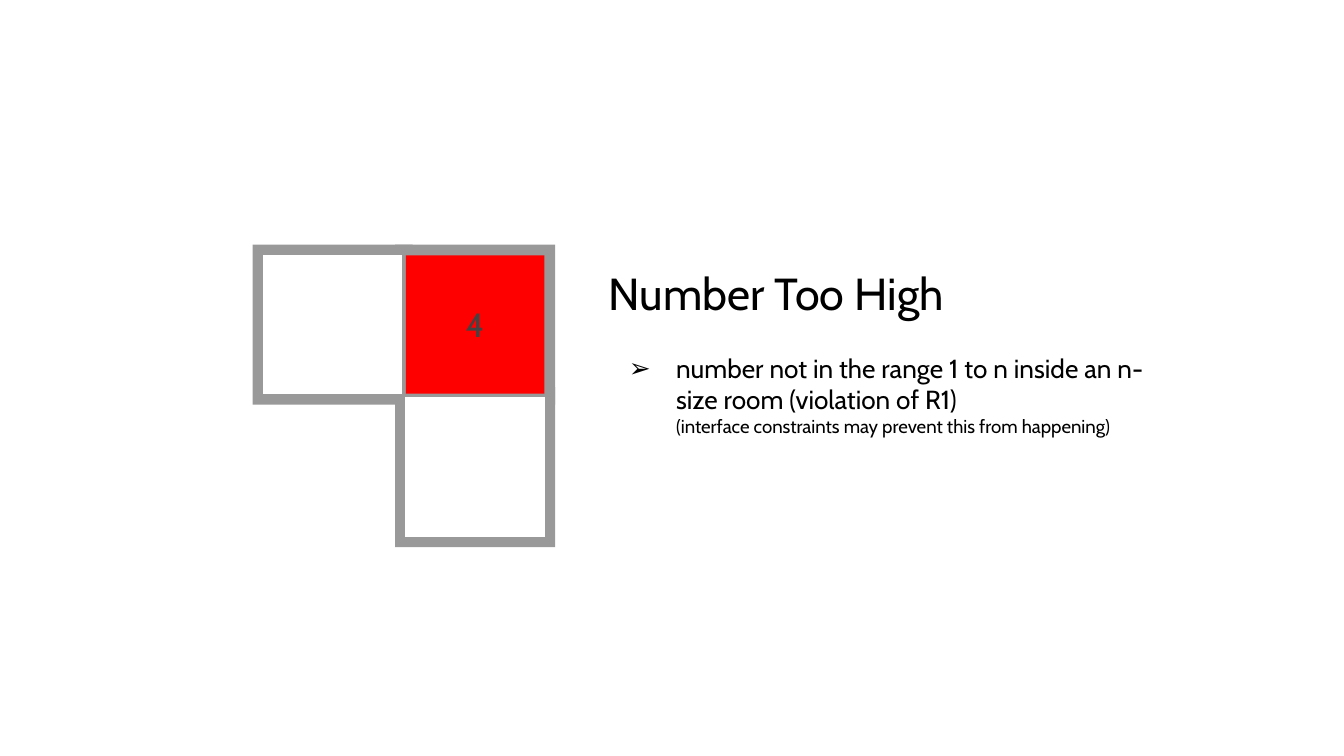
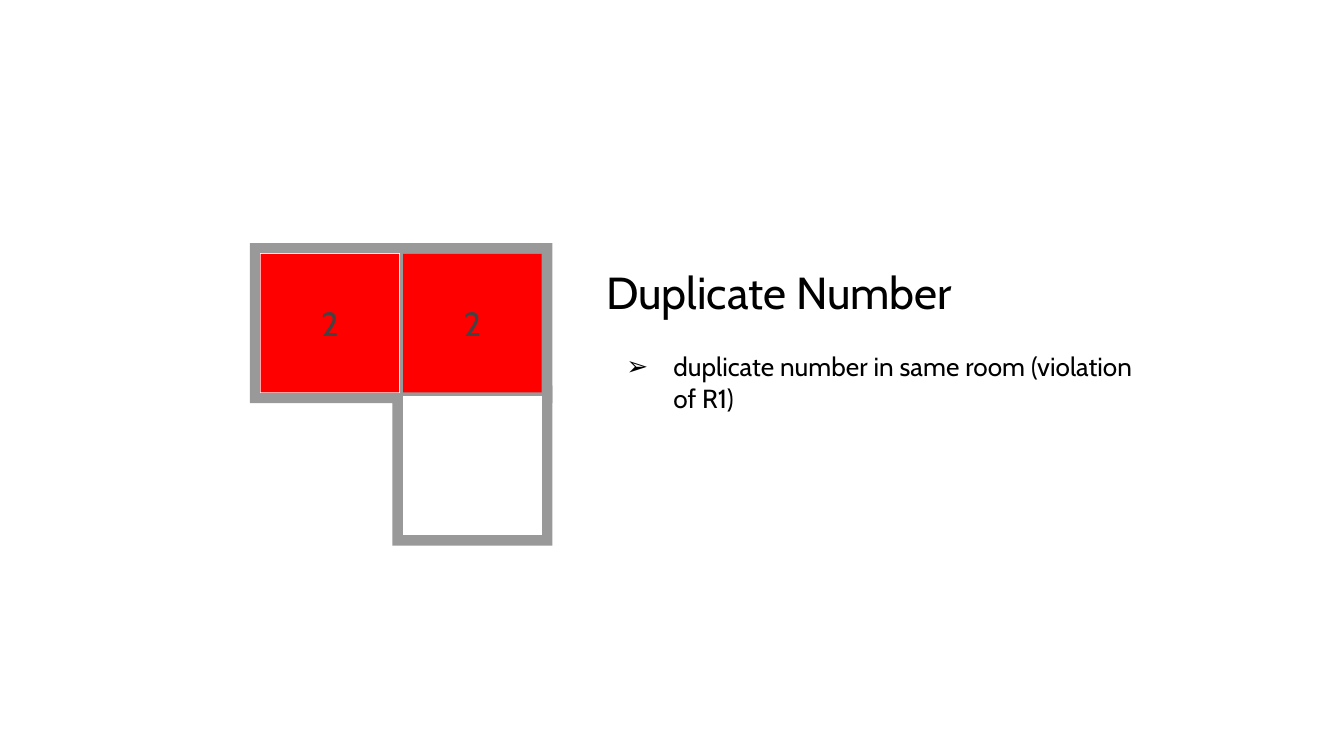
from lxml.etree import SubElement
from pptx import Presentation
from pptx.dml.color import RGBColor
from pptx.enum.shapes import MSO_SHAPE
from pptx.enum.text import MSO_ANCHOR, MSO_AUTO_SIZE, PP_ALIGN
from pptx.oxml.ns import qn
from pptx.util import Inches, Pt

FONT = "Cabin"
BLACK, WHITE, GREY, RED, DIGIT = "000000", "FFFFFF", "999999", "FF0000", "434343"
PITCH, WALL, CELL, MARK = 1.06, 1.19, 1.06, 1.03
ROOM = [(1, 0), (1, 1), (0, 0)]
TEXT_DX, TEXT_DY, TEXT_W = 2.55, 0.06, 4.22
TITLE_H, LIST_H = 0.64, 1.12


def color(value):
    """Turn a hex string into a colour."""
    return RGBColor.from_string(value)


def place(sp, x, y, w, h):
    """Move and size a shape in inches."""
    sp.left, sp.top, sp.width, sp.height = (Inches(v) for v in (x, y, w, h))


def set_frame(tf, anchor):
    """Give a text frame even insets, wrapping and an anchor."""
    tf.margin_left = tf.margin_right = tf.margin_top = tf.margin_bottom = Inches(0.1)
    tf.word_wrap = True
    tf.auto_size = MSO_AUTO_SIZE.NONE
    tf.vertical_anchor = anchor


def add_run(p, text, size, fill=BLACK, align=PP_ALIGN.LEFT):
    """Add a formatted run to an aligned paragraph."""
    p.alignment = align
    p.space_before = p.space_after = Pt(0)
    r = p.add_run()
    r.text = text
    r.font.name, r.font.size = FONT, Pt(size)
    r.font.color.rgb = color(fill)


def set_bullet(p, char=None):
    """Indent a list paragraph and give it an arrow bullet or none."""
    pPr = p._p.get_or_add_pPr()
    pPr.set("marL", str(Inches(0.5)))
    pPr.set("indent", str(Inches(-0.35) if char else 0))
    if char:
        clr = SubElement(pPr, qn("a:buClr"))
        SubElement(clr, qn("a:srgbClr"), val=BLACK)
        SubElement(pPr, qn("a:buFont"), typeface=FONT)
        SubElement(pPr, qn("a:buChar"), char=char)
    else:
        SubElement(pPr, qn("a:buNone"))


def add_square(slide, origin, cell, side, fill, line=None, text=None):
    """Draw a square centred on a cell of the room's grid."""
    inset = (WALL - side) / 2
    x, y = (o + c * PITCH + inset for o, c in zip(origin, cell))
    sp = slide.shapes.add_shape(MSO_SHAPE.ROUNDED_RECTANGLE, Inches(x), Inches(y),
                                Inches(side), Inches(side))
    sp.adjustments[0] = 0
    sp.shadow.inherit = False
    sp.fill.solid()
    sp.fill.fore_color.rgb = color(fill)
    if line:
        sp.line.color.rgb = color(line)
        sp.line.width = Pt(1.5)
    else:
        sp.line.fill.background()
    if text:
        set_frame(sp.text_frame, MSO_ANCHOR.MIDDLE)
        add_run(sp.text_frame.paragraphs[0], text, 18, DIGIT, PP_ALIGN.CENTER)


def add_room(slide, origin, marks):
    """Draw the three-cell room and its wrong numbers."""
    for cell in ROOM:
        add_square(slide, origin, cell, WALL, GREY)
    for cell in [(0, 0), (1, 1)]:
        add_square(slide, origin, cell, CELL, WHITE, line=GREY)
    for cell, number in marks.items():
        add_square(slide, origin, cell, MARK, RED, text=number)


def add_text(slide, origin, title, rule, note):
    """Fill the title and the list beside the room."""
    x, y = origin[0] + TEXT_DX, origin[1] + TEXT_DY
    head, body = slide.shapes.title, slide.placeholders[1]
    place(head, x, y, TEXT_W, TITLE_H)
    place(body, x, y + TITLE_H, TEXT_W, LIST_H)
    for sp in (head, body):
        set_frame(sp.text_frame, MSO_ANCHOR.TOP)
    add_run(head.text_frame.paragraphs[0], title, 24)
    p = body.text_frame.paragraphs[0]
    add_run(p, rule, 14)
    set_bullet(p, "➢")
    if note:
        p = body.text_frame.add_paragraph()
        add_run(p, note, 10)
        set_bullet(p)


def add_error_slide(prs, origin, title, rule, marks, note=None):
    """Add a slide that explains one kind of error."""
    slide = prs.slides.add_slide(prs.slide_layouts[1])
    add_text(slide, origin, title, rule, note)
    add_room(slide, origin, marks)


def main():
    """Build the deck."""
    prs = Presentation()
    prs.slide_width = Inches(10)
    prs.slide_height = prs.slide_width * 9 // 16
    add_error_slide(prs, (1.88, 1.82), "Number Too High",
                    "number not in the range 1 to n inside an n-size room (violation of R1)",
                    {(1, 0): "4"},
                    "(interface constraints may prevent this from happening)")
    add_error_slide(prs, (1.86, 1.81), "Duplicate Number",
                    "duplicate number in same room (violation of R1)",
                    {(1, 0): "2", (0, 0): "2"})
    prs.save("out.pptx")


if __name__ == "__main__":
    main()
